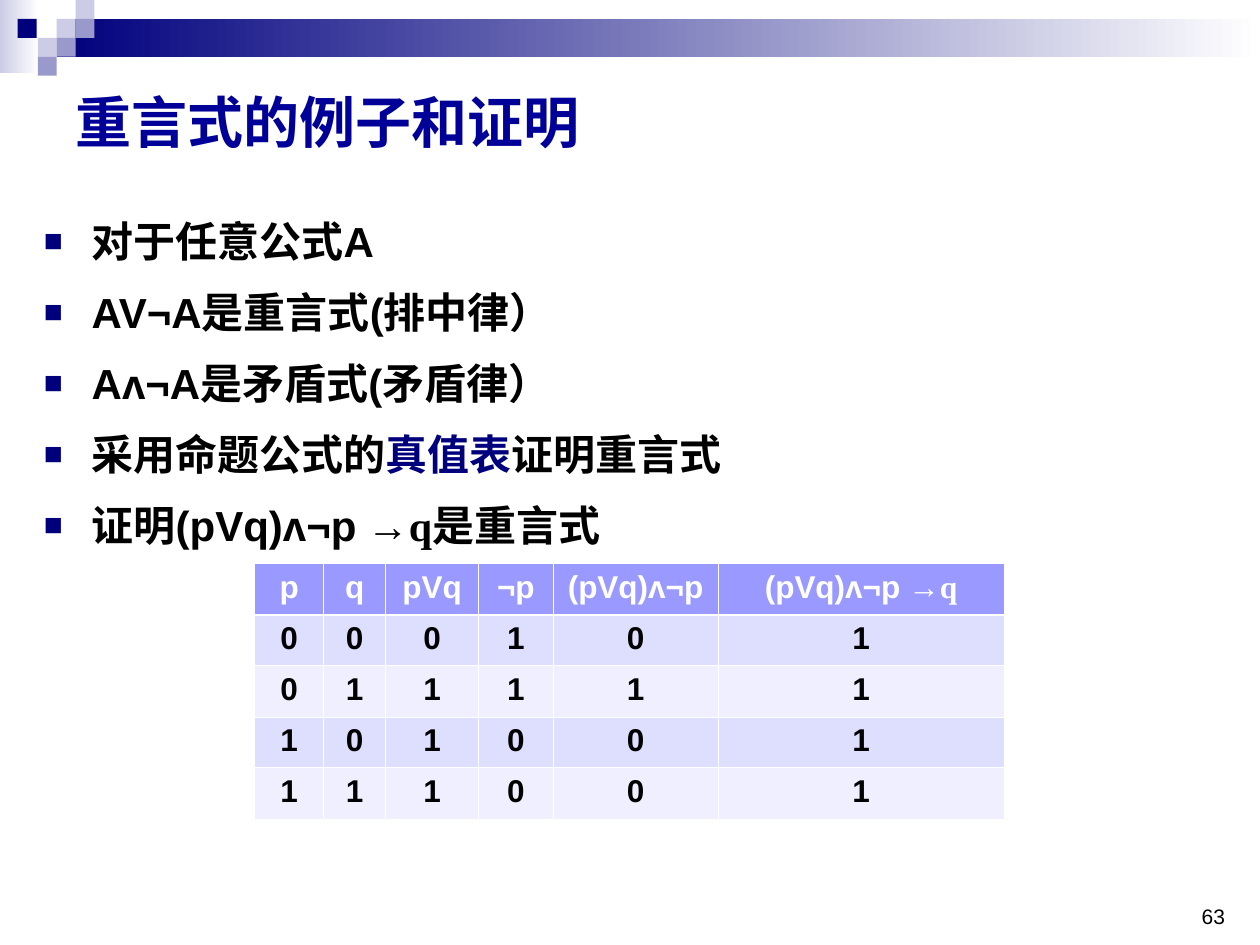
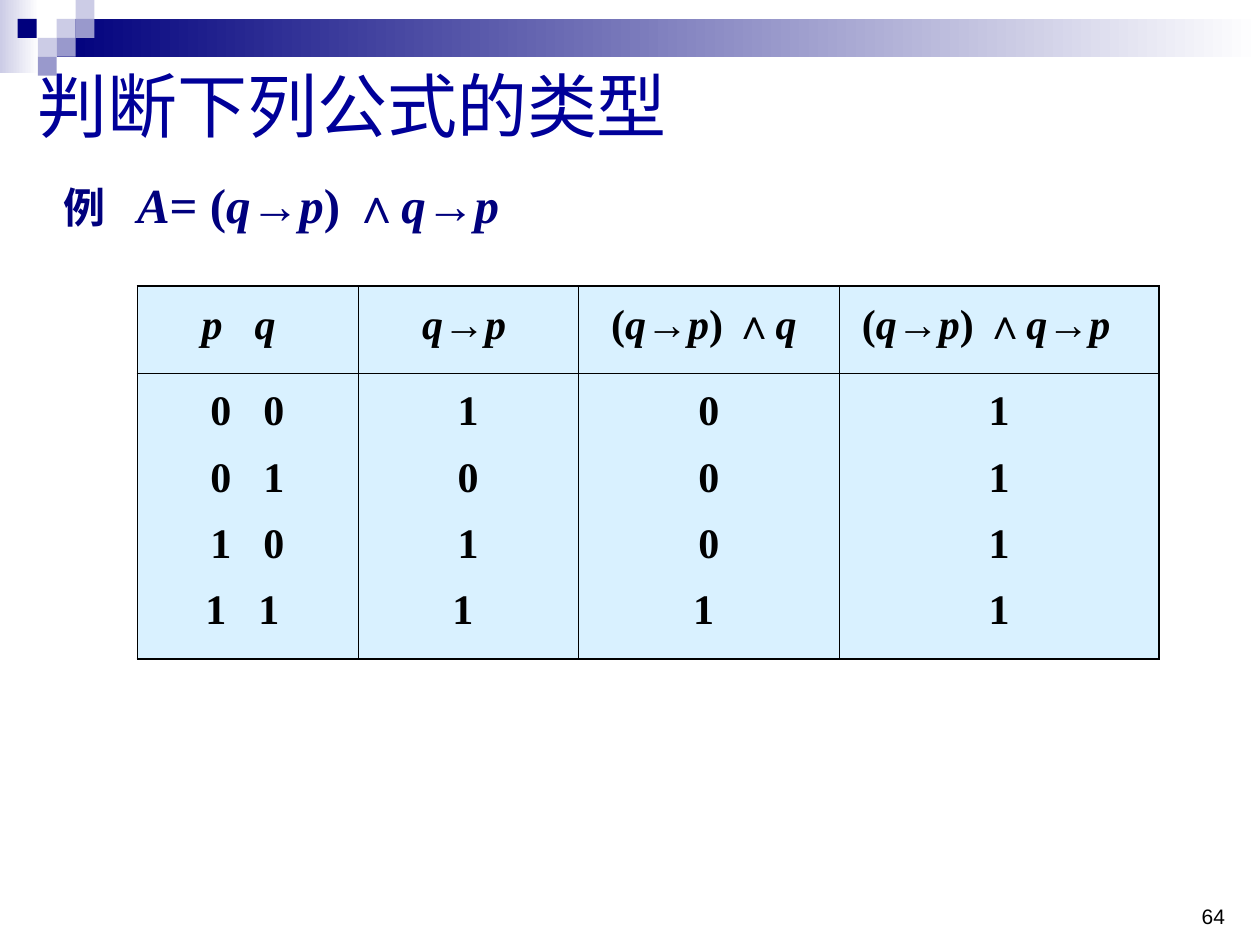
from itertools import groupby

from lxml import etree
from pptx import Presentation
from pptx import util as u
from pptx.dml import color
from pptx.enum import shapes, text
from pptx.oxml import ns

SANS, SERIF, CJK = "Arial", "Times New Roman", "Noto Sans CJK SC"
NAVY, TITLE_BLUE, BLACK, WHITE = "00007D", "000099", "000000", "FFFFFF"
LILAC, PALE_LILAC = "9999CC", "CCCCE6"
HEADER_FILL, BAND_FILLS = "9999FF", ("DEDEFF", "EFEFFF")
SKY = "D9F1FF"
THIN = 0.45
SQUARE = 0.15
CORNER_SQUARES = [
    (0.45, 0.15, PALE_LILAC), (0.6, 0, PALE_LILAC), (0.6, 0.15, LILAC),
    (0.3, 0.3, PALE_LILAC), (0.14, 0.15, NAVY), (0.45, 0.3, LILAC),
    (0.3, 0.45, LILAC),
]


def rgb(value):
    return color.RGBColor.from_string(value)


def inches(box):
    return [u.Inches(length) for length in box]


def child(parent, tag, **attributes):
    return etree.SubElement(parent, ns.qn(tag), attributes)


def write(para, spans, **base):
    """Add (text, style) spans to a paragraph; each style overrides the base."""
    for words, changes in spans:
        style = {"font": SANS, "size": 24, "color": BLACK, "bold": False,
                 "italic": False, **base, **changes}
        run = para.add_run()
        run.text = words
        font = run.font
        font.name, font.size = style["font"], u.Pt(style["size"])
        font.bold, font.italic = style["bold"], style["italic"]
        font.color.rgb = rgb(style["color"])
        child(run._r.get_or_add_rPr(), "a:ea", typeface=CJK)


def formula(words):
    """Split a formula into italic letters, sans operators and upright signs."""
    styles = {"letter": {"font": SERIF, "italic": True},
              "operator": {"font": SANS}, "sign": {"font": SERIF}}

    def kind(mark):
        if mark in "→∧":
            return "operator"
        return "letter" if mark.isalpha() else "sign"

    return [("".join(marks), styles[name]) for name, marks in groupby(words, kind)]


def set_tabs(para, stops):
    tab_list = child(para._p.get_or_add_pPr(), "a:tabLst")
    for stop in stops:
        child(tab_list, "a:tab", pos=str(u.Inches(stop)), algn="l")


def set_bullet(para):
    properties = para._p.get_or_add_pPr()
    properties.set("marL", str(u.Inches(0.38)))
    properties.set("indent", str(u.Inches(-0.38)))
    child(child(properties, "a:buClr"), "a:srgbClr", val=NAVY)
    child(properties, "a:buSzPct", val="75000")
    child(properties, "a:buFont", typeface=SANS)
    child(properties, "a:buChar", char="■")


def paragraphs(frame, count, spacing=None, gap=0):
    """Yield count paragraphs, with a gap between them."""
    for index in range(count):
        para = frame.add_paragraph() if index else frame.paragraphs[0]
        para.line_spacing = spacing
        if index:
            para.space_before = u.Pt(gap)
        yield para


def add_text(page, box, anchor=text.MSO_ANCHOR.TOP):
    frame = page.shapes.add_textbox(*inches(box)).text_frame
    frame.word_wrap = True
    frame.vertical_anchor = anchor
    return frame


def add_rect(page, box, *colors):
    """Add a rectangle, with a left-to-right gradient if two colours are given."""
    shape = page.shapes.add_shape(shapes.MSO_SHAPE.RECTANGLE, *inches(box))
    shape.shadow.inherit = False
    shape.line.fill.background()
    if len(colors) == 1:
        shape.fill.solid()
        shape.fill.fore_color.rgb = rgb(colors[0])
    else:
        shape.fill.gradient()
        shape.fill.gradient_angle = 0
        for stop, value in zip(shape.fill.gradient_stops, colors):
            stop.color.rgb = rgb(value)


def add_page(deck, number):
    page = deck.slides.add_slide(deck.slide_layouts[6])
    add_rect(page, (0, 0, 0.31, 0.58), PALE_LILAC, WHITE)
    add_rect(page, (0.45, 0.15, 9.55, 0.3), NAVY, WHITE)
    for left, top, fill in CORNER_SQUARES:
        add_rect(page, (left, top, SQUARE, SQUARE), fill)
    para = add_text(page, (9.42, 7.17, 0.42, 0.25), text.MSO_ANCHOR.BOTTOM).paragraphs[0]
    para.alignment = text.PP_ALIGN.CENTER
    write(para, [(str(number), {})], size=12)
    return page


def add_title(page, box, words, **style):
    para = add_text(page, box, text.MSO_ANCHOR.MIDDLE).paragraphs[0]
    write(para, [(words, {})], color=TITLE_BLUE, **style)


def add_grid(page, left, top, widths, heights):
    table = page.shapes.add_table(
        len(heights), len(widths),
        *inches((left, top, sum(widths), sum(heights)))).table
    for column, width in zip(table.columns, widths):
        column.width = u.Inches(width)
    for row, height in zip(table.rows, heights):
        row.height = u.Inches(height)
    return table


def style_cell(cell, fill, line, left, right, top, bottom):
    """Fill a cell and draw its four borders with the given point widths."""
    properties = cell._tc.get_or_add_tcPr()
    for side, width in zip("LRTB", (left, right, top, bottom)):
        border = child(properties, f"a:ln{side}", w=str(u.Pt(width)))
        child(child(border, "a:solidFill"), "a:srgbClr", val=line)
    cell.fill.solid()
    cell.fill.fore_color.rgb = rgb(fill)


def add_bullets(page, box):
    lines = [
        [("对于任意公式A", {})],
        [("AV¬A是重言式(排中律）", {})],
        [("Aʌ¬A是矛盾式(矛盾律）", {})],
        [("采用命题公式的", {}), ("真值表", {"color": NAVY}), ("证明重言式", {})],
        [("证明(pVq)ʌ¬p", {}), (" →q是重言式", {"font": SERIF})],
    ]
    frame = add_text(page, box)
    for para, spans in zip(paragraphs(frame, len(lines), 1.2, 6), lines):
        set_bullet(para)
        write(para, spans, bold=True)


def add_tautology_table(page, left, top):
    header = [[(words, {})] for words in ("p", "q", "pVq", "¬p", "(pVq)ʌ¬p")]
    header.append([("(pVq)ʌ¬p", {}), (" →q", {"font": SERIF})])
    values = ["000101", "011111", "101001", "111001"]
    rows = [header] + [[[(digit, {})] for digit in line] for line in values]
    table = add_grid(page, left, top, (0.55, 0.49, 0.74, 0.59, 1.31, 2.27),
                     (0.41, 0.4, 0.41, 0.4, 0.41))
    for r, row in enumerate(rows):
        fill = BAND_FILLS[(r - 1) % 2] if r else HEADER_FILL
        for c, spans in enumerate(row):
            cell = table.cell(r, c)
            style_cell(cell, fill, WHITE, THIN, THIN,
                       1.47 if r == 1 else THIN, 1.47 if r == 0 else THIN)
            para = cell.text_frame.paragraphs[0]
            para.alignment = text.PP_ALIGN.CENTER
            write(para, spans, size=18, bold=True, color=BLACK if r else WHITE)


def add_example(page, box):
    para = add_text(page, box).paragraphs[0]
    para.line_spacing = 0.8
    set_tabs(para, [0.58])
    write(para, [("例\t", {"size": 24})] + formula("A= (q→p) ∧q→p"),
          size=28, color=NAVY, bold=True)


def add_formula_table(page, left, top):
    headers = ["\tp\tq", "q→p", "(q→p) ∧q", "(q→p) ∧q→p"]
    header_indents = [0, 0.41, 0.16, 0.08]
    header_tabs = (0.41, 0.83)
    value_tabs = [(0.48, 0.9)] * 3 + [(0.44, 0.86)]
    columns = [["\t0\t0", "\t0\t1", "\t1\t0", "\t1\t1"],
               ["1", "0", "1", "1 "], ["0", "0", "0", "1 "], ["1"] * 4]
    table = add_grid(page, left, top, (1.75, 1.75, 2.07, 2.54), (0.69, 2.27))
    for c, (header, values) in enumerate(zip(headers, columns)):
        sides = (1.08 if c == 0 else THIN, 1.08 if c == 3 else THIN)
        head, body = table.cell(0, c), table.cell(1, c)
        style_cell(head, SKY, BLACK, *sides, 1.08, THIN)
        style_cell(body, SKY, BLACK, *sides, THIN, 1.08)

        para = next(paragraphs(head.text_frame, 1, 1.2))
        para._p.get_or_add_pPr().set("marL", str(u.Inches(header_indents[c])))
        if c == 0:
            set_tabs(para, header_tabs)
        write(para, formula(header), bold=True)

        lines = paragraphs(body.text_frame, len(values), 1.2, 6)
        for para, value, stops in zip(lines, values, value_tabs):
            if c == 0:
                set_tabs(para, stops)
            else:
                para.alignment = text.PP_ALIGN.CENTER
            write(para, [(value, {})], font=SERIF, bold=True)


def tautology_page(deck):
    page = add_page(deck, 63)
    add_title(page, (0.5, 0.5, 9, 0.92), "重言式的例子和证明", size=32, bold=True)
    add_bullets(page, (0.25, 1.58, 9.5, 4.92))
    add_tautology_table(page, 2.02, 4.47)


def formula_type_page(deck):
    page = add_page(deck, 64)
    add_title(page, (0.2, 0.5, 9, 0.66), "判断下列公式的类型", size=40, font=CJK)
    add_example(page, (0.41, 1.43, 8.74, 0.57))
    add_formula_table(page, 1.09, 2.27)


def main():
    deck = Presentation()
    deck.slide_width, deck.slide_height = u.Inches(10), u.Inches(7.5)
    tautology_page(deck)
    formula_type_page(deck)
    deck.save("out.pptx")


if __name__ == "__main__":
    main()
